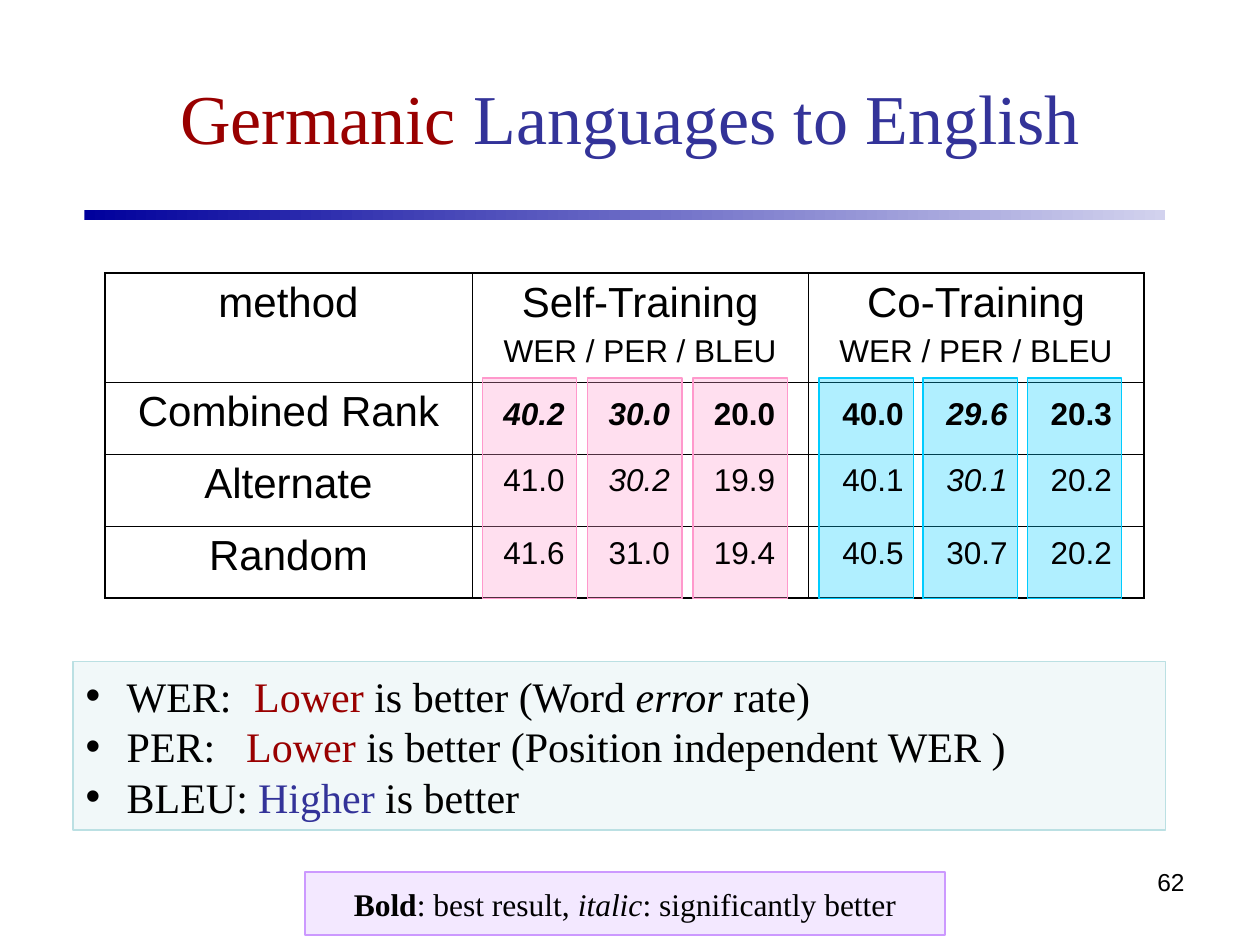
from dataclasses import dataclass

from lxml import etree
from pptx import Presentation
from pptx.dml.color import RGBColor
from pptx.enum.shapes import MSO_SHAPE
from pptx.enum.text import MSO_ANCHOR, MSO_AUTO_SIZE, PP_ALIGN
from pptx.oxml.ns import qn
from pptx.util import Cm, Pt

RECT, ROUND_RECT = MSO_SHAPE.RECTANGLE, MSO_SHAPE.ROUNDED_RECTANGLE
LEFT, CENTER, RIGHT = PP_ALIGN.LEFT, PP_ALIGN.CENTER, PP_ALIGN.RIGHT
MIDDLE = MSO_ANCHOR.MIDDLE
NO_FIT, GROW = MSO_AUTO_SIZE.NONE, MSO_AUTO_SIZE.SHAPE_TO_FIT_TEXT


@dataclass(frozen=True)
class Theme:
    """Colours, fonts and type sizes of the slide."""
    black: str = "000000"
    red: str = "990000"
    blue: str = "333399"
    bar_start: str = "00009C"
    bar_end: str = "D2D2EE"
    pink: str = "FF99CC"
    cyan: str = "00CCFF"
    teal: str = "BBE0E3"
    violet: str = "CC99FF"
    serif: str = "Times New Roman"
    sans: str = "Arial"
    title: int = 40
    large: int = 24
    small: int = 18
    number: int = 14
    thick: float = 1.08
    thin: float = 0.45


T = Theme()
B, I, BI = {"bold": True}, {"italic": True}, {"bold": True, "italic": True}

HEADERS = ["method", "Self-Training", "Co-Training"]
METHODS = ["Combined Rank", "Alternate", "Random"]
METRICS = "WER / PER / BLEU"
SCORE_TOPS = [7.82, 9.14, 10.62]
SCORES = [
    (T.pink, 9.73, 2.12, 0.17, [
        [("40.2", BI), ("41.0", {}), ("41.6", {})],
        [("30.0", BI), ("30.2", I), ("31.0", {})],
        [("20.0", B), ("19.9", {}), ("19.4", {})]]),
    (T.cyan, 16.51, 2.1, 0.22, [
        [("40.0", B), ("40.1", {}), ("40.5", {})],
        [("29.6", BI), ("30.1", I), ("30.7", {})],
        [("20.3", B), ("20.2", {}), ("20.2", {})]]),
]
NOTES = [
    (3.4, [("WER:\t", {}), ("Lower", {"color": T.red}),
           (" is better (Word ", {}), ("error", I), (" rate)", {})]),
    (3.24, [("PER:\t", {}), ("Lower", {"color": T.red}),
            (" is better (Position independent WER )", {})]),
    (3.48, [("BLEU:\t", {}), ("Higher", {"color": T.blue}),
            (" is better", {})]),
]
LEGEND = [("Bold", B), (": best result, ", {}), ("italic", I),
          (": significantly better", {})]


def write(p, text, size=T.small, font=T.sans, color=T.black,
          bold=False, italic=False, align=LEFT):
    """Add a formatted run to a paragraph."""
    p.alignment = align
    r = p.add_run()
    r.text = text
    r.font.size, r.font.name = Pt(size), font
    r.font.bold, r.font.italic = bold, italic
    r.font.color.rgb = RGBColor.from_string(color)


def place(sp, left, top, width, height):
    """Move and size a shape, in centimetres."""
    sp.left, sp.top, sp.width, sp.height = map(Cm, (left, top, width, height))


def tint(sp, color, opacity):
    """Give a shape a translucent fill and a line of the same colour."""
    sp.fill.solid()
    sp.fill.fore_color.rgb = RGBColor.from_string(color)
    clr = sp.fill._xPr.find(f"{qn('a:solidFill')}/{qn('a:srgbClr')}")
    etree.SubElement(clr, qn("a:alpha"), val=str(opacity * 1000))
    sp.line.color.rgb = RGBColor.from_string(color)
    sp.line.width = Pt(0.75)


def add_box(s, shape, *box):
    """Add a preset shape without a shadow."""
    sp = s.shapes.add_shape(shape, *map(Cm, box))
    sp.shadow.inherit = False
    return sp


def add_label(shapes, box, text, wrap=False, **fmt):
    """Add a one-line text box."""
    tf = shapes.add_textbox(*map(Cm, box)).text_frame
    tf.word_wrap = wrap
    if not wrap:
        tf.auto_size, tf.margin_right = GROW, 0
    write(tf.paragraphs[0], text, **fmt)


def add_title(s):
    """Fill the title placeholder and draw the bar below it."""
    title = s.shapes.title
    place(title, 1.27, 0.76, 22.86, 3.18)
    title.text_frame.vertical_anchor = MIDDLE
    p = title.text_frame.paragraphs[0]
    for text, color in (("Germanic", T.red), (" Languages to English", T.blue)):
        write(p, text, size=T.title, font=T.serif, color=color, align=CENTER)
    bar = add_box(s, ROUND_RECT, 1.7, 4.24, 21.79, 0.2)
    bar.adjustments[0] = 0
    bar.line.fill.background()
    bar.fill.gradient()
    bar.fill.gradient_angle = 0
    for stop, color in zip(bar.fill.gradient_stops, (T.bar_start, T.bar_end)):
        stop.color.rgb = RGBColor.from_string(color)


def set_borders(cell, **outer):
    """Draw thick borders on outer sides and thin ones elsewhere."""
    tcPr = cell._tc.get_or_add_tcPr()
    for side in "LRTB":
        width = Pt(T.thick if outer[side] else T.thin)
        ln = etree.SubElement(tcPr, qn(f"a:ln{side}"), w=str(width))
        fill = etree.SubElement(ln, qn("a:solidFill"))
        etree.SubElement(fill, qn("a:srgbClr"), val=T.black)


def add_grid(s):
    """Add the table with its headers and method names."""
    rows, cols = len(METHODS) + 1, len(HEADERS)
    table = s.shapes.add_table(rows, cols, Cm(2.11), Cm(5.51),
                               Cm(20.95), Cm(6.55)).table
    table.first_row = table.horz_banding = False
    for col, width in zip(table.columns, (7.41, 6.77, 6.77)):
        col.width = Cm(width)
    for i, row in enumerate(table.rows):
        row.height = Cm(1.45 if i else 2.2)
        for j, cell in enumerate(row.cells):
            set_borders(cell, L=j == 0, R=j == cols - 1, T=i == 0, B=i == rows - 1)
            cell.fill.background()
            if i and j:
                continue
            tf = cell.text_frame
            write(tf.paragraphs[0], METHODS[i - 1] if i else HEADERS[j],
                  size=T.large, align=CENTER)
            if j:
                p = tf.add_paragraph()
                p.space_before = Pt(4.5)
                write(p, METRICS, align=CENTER)


def add_scores(s):
    """Add a tinted column with grouped scores for each metric."""
    for color, left, step, inset, columns in SCORES:
        for k, column in enumerate(columns):
            x = left + k * step
            tint(add_box(s, RECT, x, 7.62, 1.9, 4.44), color, 31)
            group = s.shapes.add_group_shape()
            for top, (text, fmt) in zip(SCORE_TOPS, column):
                add_label(group.shapes, (x + inset, top, 1.73, 1.02), text, **fmt)


def set_bullet(p, tab):
    """Give a paragraph a bullet, a hanging indent and a tab stop."""
    pPr = p._p.get_or_add_pPr()
    pPr.set("marL", str(Cm(0.83)))
    pPr.set("indent", str(-Cm(0.83)))
    etree.SubElement(pPr, qn("a:buFont"), typeface=T.sans)
    etree.SubElement(pPr, qn("a:buChar"), char="•")
    tabs = etree.SubElement(pPr, qn("a:tabLst"))
    etree.SubElement(tabs, qn("a:tab"), pos=str(Cm(tab)), algn="l")


def add_notes(s):
    """Fill the body placeholder with the meaning of each metric."""
    body = s.placeholders[1]
    place(body, 1.47, 13.34, 22.02, 3.39)
    tint(body, T.teal, 20)
    tf = body.text_frame
    tf.auto_size, tf.vertical_anchor = NO_FIT, MIDDLE
    for i, (tab, runs) in enumerate(NOTES):
        p = tf.add_paragraph() if i else tf.paragraphs[0]
        set_bullet(p, tab)
        p.space_before = Pt(0)
        for text, fmt in runs:
            write(p, text, size=T.large, font=T.serif, **fmt)


def add_legend(s):
    """Add the box that explains bold and italic."""
    sp = add_box(s, RECT, 6.15, 17.58, 12.9, 1.27)
    tint(sp, T.violet, 22)
    sp.text_frame.vertical_anchor = MIDDLE
    for text, fmt in LEGEND:
        write(sp.text_frame.paragraphs[0], text, font=T.serif, align=CENTER, **fmt)


def main():
    """Build the slide and save it."""
    prs = Presentation()
    prs.slide_width, prs.slide_height = Cm(25.4), Cm(19.05)
    s = prs.slides.add_slide(prs.slide_layouts[1])
    add_title(s)
    add_grid(s)
    add_notes(s)
    add_scores(s)
    add_legend(s)
    add_label(s.shapes, (18.21, 17.35, 5.92, 1.32), "62", wrap=True,
              size=T.number, align=RIGHT)
    prs.save("out.pptx")


if __name__ == "__main__":
    main()
